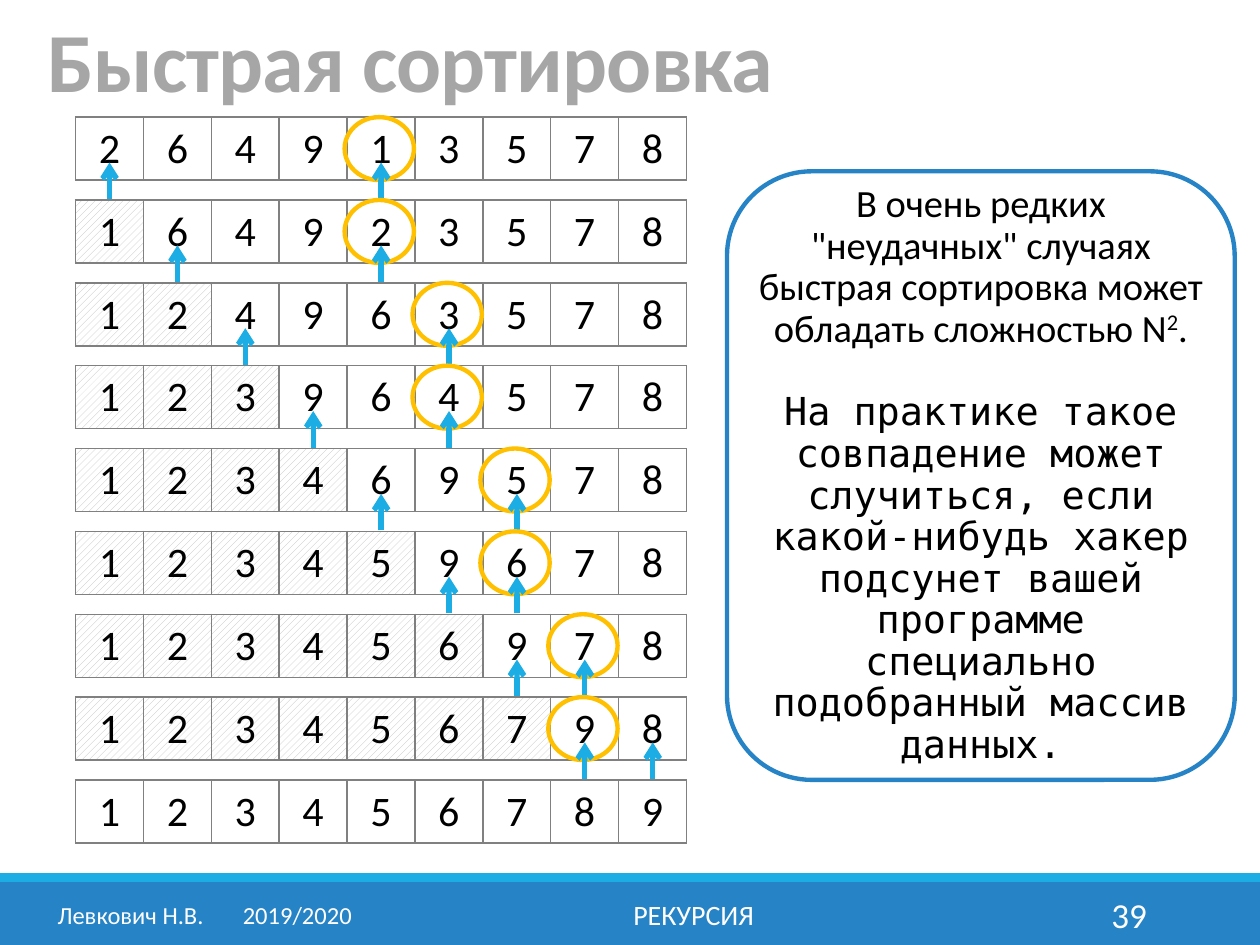
from lxml.etree import SubElement
from pptx import Presentation
from pptx.dml.color import RGBColor
from pptx.enum.dml import MSO_PATTERN
from pptx.enum.shapes import MSO_CONNECTOR, MSO_SHAPE
from pptx.enum.text import MSO_ANCHOR, PP_ALIGN
from pptx.oxml import parse_xml
from pptx.oxml.ns import nsdecls, qn
from pptx.util import Inches, Pt

WHITE = RGBColor(0xFF, 0xFF, 0xFF)
BLACK = RGBColor(0, 0, 0)
BLUE = RGBColor(0x26, 0x83, 0xC6)
CYAN = RGBColor(0x1C, 0xAD, 0xE4)
GOLD = RGBColor(0xFF, 0xC0, 0x00)
TITLE_GRAY = RGBColor(0xA6, 0xA6, 0xA6)
HATCH_GRAY = RGBColor(0xBF, 0xBF, 0xBF)
BORDER_GRAY = RGBColor(0x80, 0x80, 0x80)

ARRAY_LEFT, ARRAY_WIDTH, ARRAY_HEIGHT = 0.6, 4.85, 0.5
FIRST_TOP, LAST_TOP = 0.93, 6.19


class SlideBuilder:
    font = {"name": "Calibri", "size": Pt(24)}

    def __init__(self, slide):
        self.slide = slide

    def set_format(self, target, **values):
        for name, value in values.items():
            setattr(target, name, value)

    def run(self, p, text, color=BLACK, **font):
        r = p.add_run()
        r.text = text
        self.set_format(r.font, **{**self.font, **font})
        r.font.color.rgb = color
        return r

    def text(self, box, text, color, align=PP_ALIGN.LEFT,
             anchor=MSO_ANCHOR.MIDDLE, **font):
        tf = self.slide.shapes.add_textbox(*map(Inches, box)).text_frame
        self.set_format(tf, word_wrap=True, vertical_anchor=anchor)
        p = tf.paragraphs[0]
        p.alignment = align
        return p, self.run(p, text, color, **font)

    def shape(self, kind, box, fill=None, line=None):
        sp = self.slide.shapes.add_shape(kind, *map(Inches, box))
        sp.shadow.inherit = False
        if fill is None:
            sp.fill.background()
        else:
            sp.fill.solid()
            sp.fill.fore_color.rgb = fill
        if line is None:
            sp.line.fill.background()
        else:
            sp.line.color.rgb = line
            sp.line.width = Pt(2.5)
        return sp

    def arrow(self, x, start, end):
        line = self.slide.shapes.add_connector(
            MSO_CONNECTOR.STRAIGHT, *map(Inches, (x, start, x, end)))
        line.line.color.rgb = CYAN
        line.line.width = Pt(3)
        SubElement(line.line._get_or_add_ln(), qn("a:tailEnd"), type="arrow")
        SubElement(line._element.spPr, qn("a:effectLst"))

    def border(self, cell):
        tc_pr = cell._tc.get_or_add_tcPr()
        for i, side in enumerate("LRTB"):
            tc_pr.insert(i, parse_xml(
                f'<a:ln{side} {nsdecls("a")} w="12700"><a:solidFill>'
                f'<a:srgbClr val="{BORDER_GRAY}"/></a:solidFill></a:ln{side}>'))

    def array(self, top, values, hatched):
        table = self.slide.shapes.add_table(
            1, len(values), *map(Inches, (ARRAY_LEFT, top, ARRAY_WIDTH, ARRAY_HEIGHT))).table
        self.set_format(table, first_row=False, horz_banding=False)
        for i, value in enumerate(values):
            cell = table.cell(0, i)
            if i < hatched:
                cell.fill.patterned()
                cell.fill.pattern = MSO_PATTERN.WIDE_UPWARD_DIAGONAL
                cell.fill.fore_color.rgb = HATCH_GRAY
                cell.fill.back_color.rgb = WHITE
            else:
                cell.fill.solid()
                cell.fill.fore_color.rgb = WHITE
            self.border(cell)
            p = cell.text_frame.paragraphs[0]
            p.alignment = PP_ALIGN.CENTER
            self.run(p, str(value))

    def note(self, box):
        tf = self.shape(MSO_SHAPE.ROUNDED_RECTANGLE, box, line=BLUE).text_frame
        self.set_format(
            tf, word_wrap=True, vertical_anchor=MSO_ANCHOR.MIDDLE,
            margin_left=Inches(0.04), margin_right=Inches(0.04))
        rare, hacker = tf.paragraphs[0], tf.add_paragraph()
        for p in (rare, hacker):
            self.set_format(p, alignment=PP_ALIGN.CENTER, line_spacing=0.9)
        hacker.space_before = Pt(24)
        size = Pt(22)
        self.run(rare, 'В очень редких "неудачных" случаях быстрая сортировка '
                       'может обладать сложностью N', size=size)
        power = self.run(rare, "2", size=size)
        power.font._element.set("baseline", "30000")
        self.run(rare, ".", size=size)
        self.run(hacker, "На практике такое совпадение может случиться, если "
                         "какой-нибудь хакер подсунет вашей программе специально "
                         "подобранный массив данных.",
                 size=size, name="DejaVu Sans Mono")


def draw_sorting(s):
    values = [2, 6, 4, 9, 1, 3, 5, 7, 8]
    steps = len(values) - 1
    column = ARRAY_WIDTH / len(values)
    pitch = (LAST_TOP - FIRST_TOP) / steps
    marks = []
    for step in range(steps):
        top = FIRST_TOP + step * pitch
        pivot = 4 + step // 2
        right = max(pivot, step + 1)
        s.array(top, values, step)
        marks.append((top, pivot, (step, right)))
        values[step], values[right] = values[right], values[step]
    s.array(LAST_TOP, values, 0)

    for top, pivot, swapped in marks:
        s.shape(MSO_SHAPE.OVAL,
                (ARRAY_LEFT + (pivot + 0.5) * column - 0.29, top, 0.55, 0.5), line=GOLD)
        for i in swapped:
            s.arrow(ARRAY_LEFT + (i + 0.5) * column, top + 0.65, top + 0.36)


def draw_footer(s):
    s.shape(MSO_SHAPE.RECTANGLE, (0, 7, 10, 0.5), fill=BLUE)
    s.shape(MSO_SHAPE.RECTANGLE, (0, 6.93, 10, 0.07), fill=CYAN)
    s.text((8.12, 7.06, 1.08, 0.4), "39", WHITE, PP_ALIGN.RIGHT, size=Pt(20))
    s.text((3.02, 7.06, 4.97, 0.4), "РЕКУРСИЯ", WHITE, PP_ALIGN.CENTER, size=Pt(16))
    p, r = s.text((0.32, 7.06, 2.61, 0.4), "Левкович Н.В.\t2019/2020", WHITE,
                  PP_ALIGN.CENTER, size=Pt(14))
    tabs = SubElement(p._p.get_or_add_pPr(), qn("a:tabLst"))
    SubElement(tabs, qn("a:tab"), pos=str(Inches(1.47)), algn="l")


def main():
    prs = Presentation()
    prs.slide_width, prs.slide_height = Inches(10), Inches(7.5)
    s = SlideBuilder(prs.slides.add_slide(prs.slide_layouts[6]))
    draw_footer(s)
    p, r = s.text((0.28, 0, 9.45, 0.92), "Быстрая сортировка", TITLE_GRAY,
                  anchor=MSO_ANCHOR.BOTTOM, size=Pt(48), bold=True)
    p.line_spacing = 0.85
    r.font._element.set("spc", "-50")
    s.note((5.77, 1.36, 4.03, 4.83))
    draw_sorting(s)
    prs.save("out.pptx")


if __name__ == "__main__":
    main()
